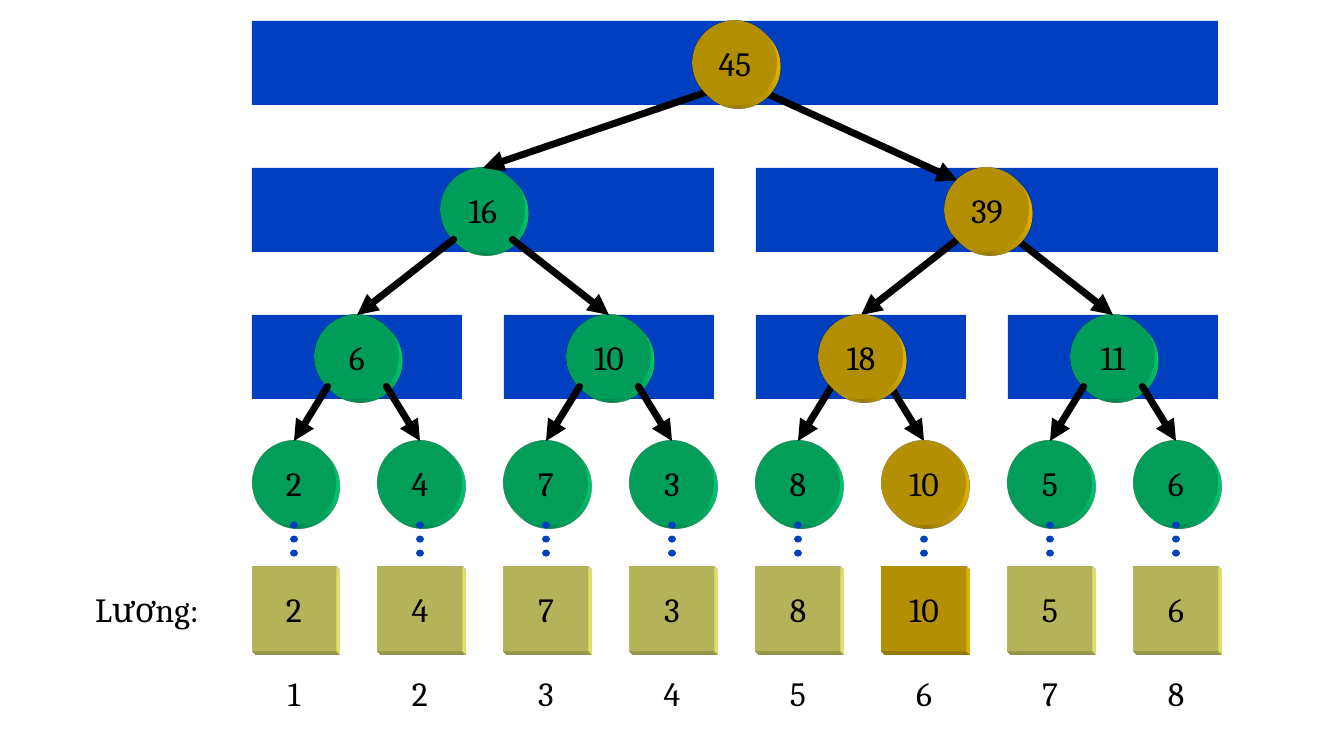
from dataclasses import dataclass

from lxml import etree
from pptx import Presentation
from pptx.dml.color import RGBColor
from pptx.enum.dml import MSO_LINE
from pptx.enum.shapes import MSO_CONNECTOR, MSO_SHAPE
from pptx.enum.text import MSO_ANCHOR, PP_ALIGN
from pptx.oxml import parse_xml
from pptx.oxml.ns import qn
from pptx.shapes.autoshape import Shape
from pptx.slide import Slide
from pptx.util import Cm, Pt

RECT, OVAL = MSO_SHAPE.RECTANGLE, MSO_SHAPE.OVAL
STRAIGHT, DOTS = MSO_CONNECTOR.STRAIGHT, MSO_LINE.ROUND_DOT
CENTER, MIDDLE = PP_ALIGN.CENTER, MSO_ANCHOR.MIDDLE

BLUE = RGBColor(0x00, 0x40, 0xC0)
GREEN = RGBColor(0x00, 0xE0, 0x80)
CREAM = RGBColor(0xFF, 0xFF, 0x80)
GOLD = RGBColor(0xFF, 0xCC, 0x00)
BLACK = RGBColor(0x00, 0x00, 0x00)

SIDE = 2.54  # one node in cm; all positions below count in nodes
LEFT, STEP = 3, 1.5
BOX_TOP, INDEX_TOP = 6.75, 7.75
TOPS = (5.25, 3.75, 2, 0.25)
VALUES = ((2, 4, 7, 3, 8, 10, 5, 6), (6, 10, 18, 11), (16, 39), (45,))
PICK = 5  # leaf at the end of the marked path

DEPTH = (
    '<a:{tag} xmlns:a="http://schemas.openxmlformats.org/drawingml/2006/main"'
)
SCENE = DEPTH.format(tag="scene3d") + (
    '><a:camera prst="legacyObliqueBottomRight"/>'
    '<a:lightRig rig="legacyFlat3" dir="b"/></a:scene3d>'
)
SOLID = DEPTH.format(tag="sp3d") + (
    ' extrusionH="114300" prstMaterial="legacyMatte">'
    '<a:bevelT w="13500" h="13500" prst="angle"/>'
    '<a:bevelB w="13500" h="13500" prst="angle"/>'
    '<a:extrusionClr><a:srgbClr val="{color}"/></a:extrusionClr></a:sp3d>'
)


@dataclass(frozen=True)
class Node:
    level: int
    col: int
    value: int

    @property
    def top(self) -> float:
        return TOPS[self.level]

    @property
    def left(self) -> float:
        return LEFT + STEP * 2 ** self.level * self.col

    @property
    def width(self) -> float:
        return STEP * 2 ** self.level - 0.5

    @property
    def mid(self) -> float:
        return self.left + self.width / 2

    @property
    def marked(self) -> bool:
        return self.col == PICK >> self.level


def size(count: float) -> Cm:
    return Cm(count * SIDE)


def write(shape: Shape, text: str) -> None:
    frame = shape.text_frame
    frame.word_wrap = True
    frame.vertical_anchor = MIDDLE
    frame.margin_left = frame.margin_right = 0
    frame.margin_top = frame.margin_bottom = 0
    para = frame.paragraphs[0]
    para.alignment = CENTER
    run = para.add_run()
    run.text = text
    run.font.name = "Cambria"
    run.font.size = Pt(29)
    run.font.color.rgb = BLACK


def label(slide: Slide, left: float, top: float, width: float, text: str) -> None:
    write(slide.shapes.add_textbox(size(left), size(top), size(width), size(1)), text)


def block(slide: Slide, kind: MSO_SHAPE, left: float, top: float,
          width: float, color: RGBColor) -> Shape:
    shape = slide.shapes.add_shape(kind, size(left), size(top), size(width), size(1))
    shape.shadow.inherit = False
    shape.fill.solid()
    shape.fill.fore_color.rgb = color
    shape.line.fill.background()
    return shape


def raised(slide: Slide, kind: MSO_SHAPE, mid: float, top: float,
           color: RGBColor, text: str) -> None:
    """Draw a numbered node with an extruded edge."""
    shape = block(slide, kind, mid - 0.5, top, 1, color)
    props = shape._element.spPr
    props.append(parse_xml(SCENE))
    props.append(parse_xml(SOLID.format(color=color)))
    write(shape, text)


def link(slide: Slide, start: tuple[float, float], end: tuple[float, float],
         color: RGBColor, arrow: bool) -> None:
    """Draw an arrow, or a dotted line without a head."""
    line = slide.shapes.add_connector(STRAIGHT, *map(size, start + end))
    line.line.color.rgb = color
    line.line.width = Pt(6)
    props = line._element.spPr
    edge = props.find(qn("a:ln"))
    edge.set("cap", "rnd")
    if arrow:
        etree.SubElement(edge, qn("a:tailEnd"), type="triangle")
    else:
        line.line.dash_style = DOTS
    etree.SubElement(props, qn("a:effectLst"))


def circle(slide: Slide, node: Node) -> None:
    color = GOLD if node.marked else GREEN
    raised(slide, OVAL, node.mid, node.top, color, str(node.value))


def box(slide: Slide, node: Node) -> None:
    color = GOLD if node.marked else CREAM
    raised(slide, RECT, node.mid, BOX_TOP, color, str(node.value))


def branch(slide: Slide, node: Node) -> None:
    """Draw the two arrows from a node to its children."""
    for side in (0, 1):
        child = Node(node.level - 1, 2 * node.col + side, 0)
        end = (child.mid, child.top)
        if node.level == 3 and side:
            end = (child.mid - 0.35, child.top + 0.15)
        start = (node.mid + (0.35 if side else -0.35), node.top + 0.85)
        link(slide, start, end, BLACK, True)


def main() -> None:
    deck = Presentation()
    deck.slide_width, deck.slide_height = size(16), size(9)
    slide = deck.slides.add_slide(deck.slide_layouts[6])

    nodes = [Node(level, col, value)
             for level, row in enumerate(VALUES) for col, value in enumerate(row)]
    leaves = [node for node in nodes if node.level == 0]
    inner = [node for node in nodes if node.level > 0]
    plain = [node for node in nodes if not node.marked]
    path_nodes = [node for node in nodes if node.marked]

    for node in inner:
        block(slide, RECT, node.left, node.top, node.width, BLUE)
    label(slide, 1, BOX_TOP, 1.5, "Lương:")
    for leaf in leaves:
        label(slide, leaf.left, INDEX_TOP, 1, str(leaf.col + 1))
        if not leaf.marked:
            box(slide, leaf)
    for node in plain:
        circle(slide, node)
    for node in reversed(inner):
        branch(slide, node)
    for leaf in leaves:
        link(slide, (leaf.mid, leaf.top + 1), (leaf.mid, BOX_TOP), BLUE, False)
    box(slide, leaves[PICK])
    for node in path_nodes:
        circle(slide, node)

    deck.save("out.pptx")


if __name__ == "__main__":
    main()
